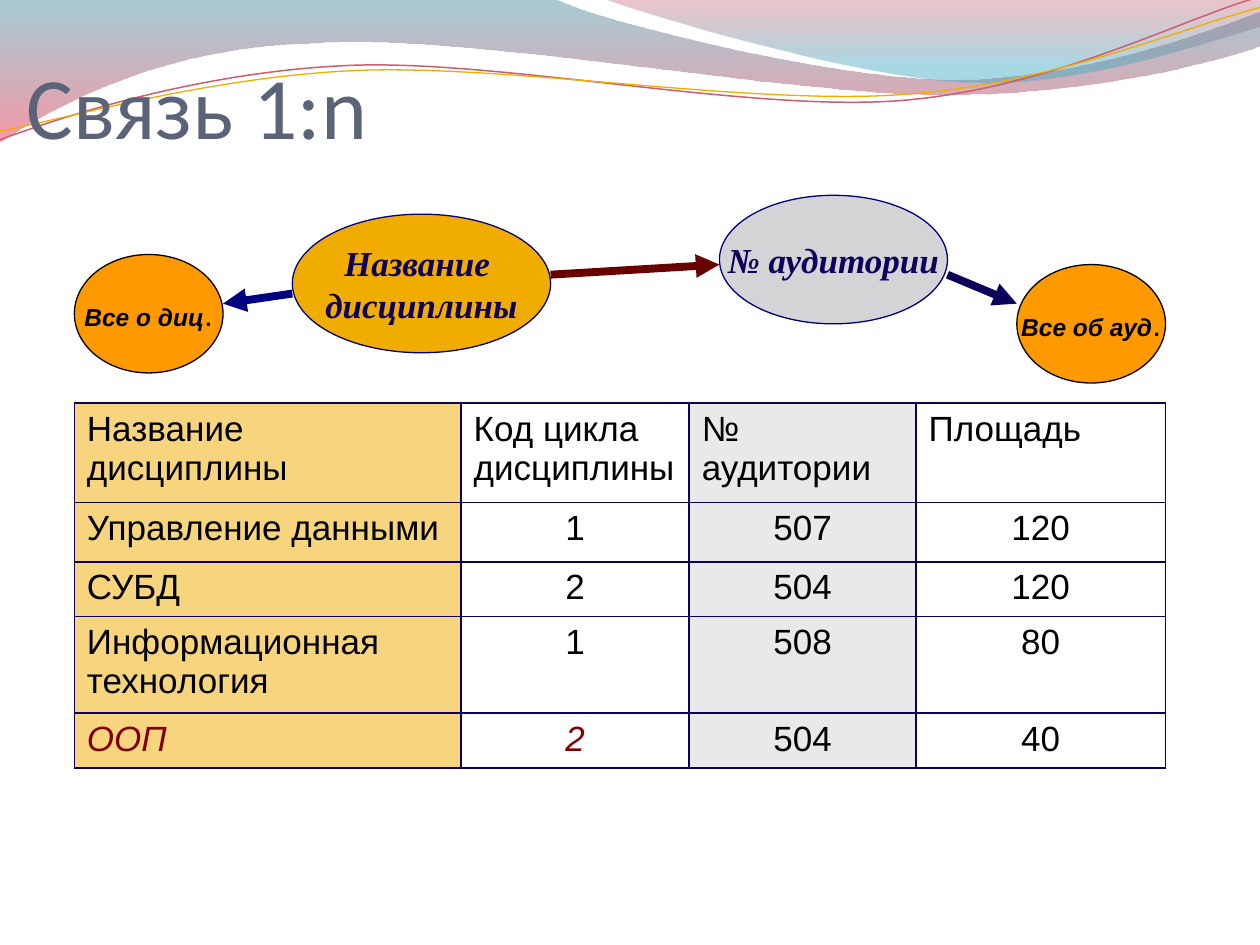
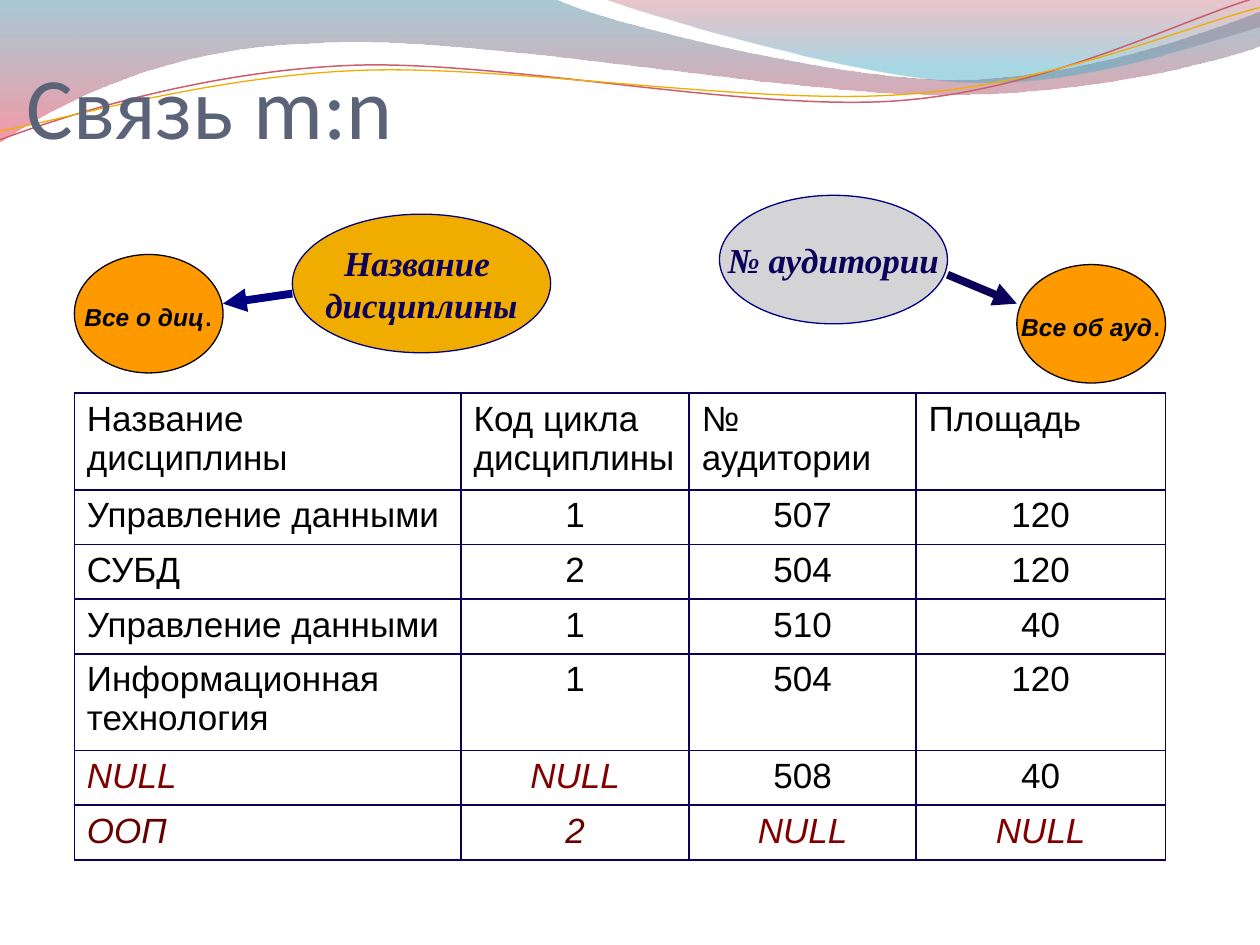
import math

import pptx
import pptx.dml.color
import pptx.enum.shapes
import pptx.enum.text
import pptx.oxml.ns
import pptx.util
from lxml import etree

Inches = pptx.util.Inches
Pt = pptx.util.Pt
qn = pptx.oxml.ns.qn
MIDDLE = pptx.enum.text.MSO_ANCHOR.MIDDLE
BOTTOM = pptx.enum.text.MSO_ANCHOR.BOTTOM
CENTER = pptx.enum.text.PP_ALIGN.CENTER

COLORS = {
    "title": "5A6378", "black": "000000", "ink": "0D005A", "navy": "000080",
    "maroon": "680000", "red": "800000", "gold": "F0AD00", "grey": "D4D4D6",
    "orange": "FF9900", "rose": "CB5F6E", "teal": "3F8A9F", "pink": "EF445B",
    "brick": "B84253", "sky": "42ABC7",
}

BAND_LEFT = [
    [(0, 0)], [(4.4, -0.01)],
    [(4.76, 0.17), (6.64, 0.63), (7.58, 0.63)],
    [(8.53, 0.63), (9.58, 0.26), (10, 0.09)],
    [(10.01, 0.36)],
    [(9.83, 0.44), (8.7, 0.76), (7.46, 0.75)],
    [(6.22, 0.75), (3.82, 0.28), (2.57, 0.34)],
    [(1.29, 0.36), (0.46, 0.83), (-0.01, 1.13)],
]
BAND_RIGHT = [
    [(4.79, -0.01)],
    [(5.09, 0.11), (6.82, 0.62), (7.69, 0.65)],
    [(8.56, 0.69), (9.61, 0.32), (10, 0.21)],
    [(10, 0)],
]
WAVE_ROSE = [
    [(0, 1.11)],
    [(0.48, 0.93), (1.58, 0.57), (2.77, 0.52)],
    [(3.95, 0.47), (5.93, 0.89), (7.13, 0.8)],
    [(8.33, 0.71), (9.38, 0.15), (9.98, -0.02)],
]
WAVE_GOLD = [
    [(0, 1.04)],
    [(0.47, 0.96), (1.64, 0.61), (2.83, 0.56)],
    [(4.03, 0.51), (5.97, 0.84), (7.17, 0.75)],
    [(8.36, 0.67), (9.41, 0.21), (10, 0.06)],
]
WAVE_TILT = 2.7
WAVE_CENTER = (5, 0.58)

COLUMN_WIDTHS = [3.07, 1.81, 1.8, 1.98]
HEADER = ["Название дисциплины", "Код цикла дисциплины", "№ аудитории", "Площадь"]


def rgb(name):
    """Return the named colour."""
    return pptx.dml.color.RGBColor.from_string(COLORS[name])


def set_alpha(element, *percents):
    """Give the colours inside an element their opacities, in order."""
    for color, percent in zip(element.iter(qn("a:srgbClr")), percents):
        etree.SubElement(color, qn("a:alpha"), val=str(percent * 1000))


def set_font(font, name, size, color, bold=False, italic=False):
    """Set the usual properties of a font."""
    font.name, font.size = name, Pt(size)
    font.bold, font.italic = bold, italic
    font.color.rgb = rgb(color)


def set_line(line, color, width):
    """Set the colour and width of a line."""
    line.color.rgb = rgb(color)
    line.width = Pt(width)


def add_curve(slide, segments, close):
    """Add a freeform of straight and cubic segments."""
    ends = [(Inches(x), Inches(y)) for x, y in (segment[-1] for segment in segments)]
    builder = slide.shapes.build_freeform(*ends[0], scale=1.0)
    builder.add_line_segments(ends[1:], close=close)
    sp = builder.convert_to_shape()
    sp.shadow.inherit = False
    straight = list(sp._element.spPr.iter(qn("a:lnTo")))
    for element, segment in zip(straight, segments[1:]):
        if len(segment) == 3:
            cubic = etree.Element(qn("a:cubicBezTo"))
            for x, y in segment:
                etree.SubElement(cubic, qn("a:pt"), x=str(Inches(x) - sp.left),
                                 y=str(Inches(y) - sp.top))
            element.getparent().replace(element, cubic)
    return sp


def add_band(slide, segments, stops):
    """Add a band with a vertical translucent gradient."""
    sp = add_curve(slide, segments, True)
    sp.line.fill.background()
    sp.fill.gradient()
    sp.fill.gradient_angle = 270
    for stop, (position, color, _) in zip(sp.fill.gradient_stops, stops):
        stop.position = position
        stop.color.rgb = rgb(color)
    set_alpha(sp._element.spPr, *[alpha for _, _, alpha in stops])


def level(point):
    """Turn a point of a wave back to where it lies before the tilt."""
    cx, cy = WAVE_CENTER
    dx, dy = point[0] - cx, point[1] - cy
    cos, sin = math.cos(math.radians(WAVE_TILT)), math.sin(math.radians(WAVE_TILT))
    return cx + dx * cos - dy * sin, cy + dx * sin + dy * cos


def add_wave(slide, segments, color, width):
    """Add a thin tilted wavy line."""
    sp = add_curve(slide, [[level(point) for point in segment] for segment in segments], False)
    sp.rotation = 360 - WAVE_TILT
    sp.fill.background()
    set_line(sp.line, color, width)


def add_backdrop(slide):
    """Draw the bands and waves at the top of a slide."""
    add_band(slide, BAND_LEFT, [(0, "teal", 45), (1, "pink", 55)])
    add_band(slide, BAND_RIGHT, [(0, "brick", 30), (0.8, "sky", 45)])
    add_wave(slide, WAVE_ROSE, "rose", 0.85)
    add_wave(slide, WAVE_GOLD, "gold", 0.75)


def add_title(slide, text, x, y, w, h):
    """Add the slide title."""
    tf = slide.shapes.add_textbox(Inches(x), Inches(y), Inches(w), Inches(h)).text_frame
    tf.word_wrap = True
    tf.vertical_anchor = BOTTOM
    tf.margin_left = tf.margin_right = tf.margin_bottom = 0
    tf.margin_top = Inches(0.05)
    p = tf.paragraphs[0]
    p.text = text
    set_font(p.font, "Calibri", 50, "title")


def add_ellipse(slide, x, y, w, h, fill, line):
    """Add an ellipse and return its text frame."""
    sp = slide.shapes.add_shape(pptx.enum.shapes.MSO_SHAPE.OVAL,
                                Inches(x), Inches(y), Inches(w), Inches(h))
    sp.shadow.inherit = False
    sp.fill.solid()
    sp.fill.fore_color.rgb = rgb(fill)
    set_line(sp.line, line, 0.75)
    tf = sp.text_frame
    tf.word_wrap = False
    tf.vertical_anchor = MIDDLE
    return tf


def add_entity(slide, x, y, w, h, fill, lines):
    """Add a large ellipse that names a key."""
    tf = add_ellipse(slide, x, y, w, h, fill, "navy")
    for i, line in enumerate(lines):
        p = tf.add_paragraph() if i else tf.paragraphs[0]
        p.text = line
        p.alignment = CENTER
        set_font(p.font, "Times New Roman", 20, "ink", True, True)


def add_details(slide, x, y, text):
    """Add a small ellipse for the remaining attributes."""
    p = add_ellipse(slide, x, y, 1.18, 0.94, "orange", "black").paragraphs[0]
    p.alignment = CENTER
    for part, size, strong in ((text, 14, True), (".", 18, False)):
        r = p.add_run()
        r.text = part
        set_font(r.font, "Arial", size, "black", strong, strong)


def add_arrow(slide, x1, y1, x2, y2, color):
    """Add a thick arrow."""
    c = slide.shapes.add_connector(pptx.enum.shapes.MSO_CONNECTOR.STRAIGHT,
                                   Inches(x1), Inches(y1), Inches(x2), Inches(y2))
    set_line(c.line, color, 4.5)
    sp_pr = c._element.spPr
    etree.SubElement(sp_pr.find(qn("a:ln")), qn("a:tailEnd"), type="triangle")
    etree.SubElement(sp_pr, qn("a:effectLst"))


def add_diagram(slide, x, y, linked):
    """Draw the two keys with their attributes, linked or not."""
    add_entity(slide, x + 1.73, y + 0.15, 2.05, 1.1, "gold", ["Название ", "дисциплины"])
    add_entity(slide, x + 5.12, y, 1.81, 1.02, "grey", ["№ аудитории"])
    if linked:
        add_arrow(slide, x + 3.78, y + 0.63, x + 5.12, y + 0.55, "maroon")
    add_details(slide, x, y + 0.47, "Все о диц")
    add_arrow(slide, x + 1.73, y + 0.78, x + 1.18, y + 0.86, "navy")
    add_details(slide, x + 7.48, y + 0.55, "Все об ауд")
    add_arrow(slide, x + 6.93, y + 0.63, x + 7.48, y + 0.86, "ink")


def add_borders(cell):
    """Draw the four borders of a cell."""
    tc_pr = cell._tc.get_or_add_tcPr()
    for side in ("lnL", "lnR", "lnT", "lnB"):
        ln = etree.SubElement(tc_pr, qn("a:" + side), w=str(Pt(1)))
        fill = etree.SubElement(ln, qn("a:solidFill"))
        etree.SubElement(fill, qn("a:srgbClr"), val=COLORS["ink"])


def fill_cell(cell, color):
    """Fill a cell with a half-transparent colour, or with nothing."""
    if color is None:
        cell.fill.background()
        return
    cell.fill.solid()
    cell.fill.fore_color.rgb = rgb(color)
    set_alpha(cell._tc.tcPr.find(qn("a:solidFill")), 50)


def add_relation(slide, x, y, h, heights, rows, accents, column_fills):
    """Add the table; accents maps (row, column) to a text colour."""
    rows = [HEADER] + rows
    table = slide.shapes.add_table(
        len(rows), len(HEADER), Inches(x), Inches(y),
        Inches(sum(COLUMN_WIDTHS)), Inches(h)).table
    table.first_row = table.horz_banding = False
    for column, width in zip(table.columns, COLUMN_WIDTHS):
        column.width = Inches(width)
    for i, (values, height) in enumerate(zip(rows, heights)):
        table.rows[i].height = Inches(height)
        for j, value in enumerate(values):
            cell = table.cell(i, j)
            add_borders(cell)
            fill_cell(cell, column_fills.get(j))
            p = cell.text_frame.paragraphs[0]
            r = p.add_run()
            r.text = value
            if i and j:
                p.alignment = CENTER
            accent = accents.get((i, j))
            set_font(r.font, "Arial", 20, accent or "black", italic=bool(accent))


def add_relation_slide(prs, title, linked, table_top, **relation):
    """Add a slide with a title, a diagram and a table."""
    slide = prs.slides.add_slide(prs.slide_layouts[6])
    add_backdrop(slide)
    add_title(slide, title, 0.21, 0.25, 8.77, 1)
    add_relation(slide, 0.59, table_top, **relation)
    add_diagram(slide, 0.59, 1.55, linked)


def main():
    """Build the presentation."""
    prs = pptx.Presentation()
    prs.slide_width, prs.slide_height = Inches(10), Inches(7.5)
    add_relation_slide(
        prs, "Связь 1:n", True, 3.2, h=2.89,
        heights=[0.79, 0.47, 0.38, 0.36, 0.2],
        rows=[
            ["Управление данными", "1", "507", "120"],
            ["СУБД", "2", "504", "120"],
            ["Информационная технология", "1", "508", "80"],
            ["ООП", "2", "504", "40"],
        ],
        accents={(4, 0): "red", (4, 1): "red"},
        column_fills={0: "gold", 2: "grey"})
    add_relation_slide(
        prs, "Связь m:n", False, 3.12, h=3.7,
        heights=[0.7, 0.41, 0.38, 0.36, 0.36, 0.4, 0.4],
        rows=[
            ["Управление данными", "1", "507", "120"],
            ["СУБД", "2", "504", "120"],
            ["Управление данными", "1", "510", "40"],
            ["Информационная технология", "1", "504", "120"],
            ["NULL", "NULL", "508", "40"],
            ["ООП", "2", "NULL", "NULL"],
        ],
        accents={(5, 0): "red", (5, 1): "red", (6, 0): "maroon",
                 (6, 1): "maroon", (6, 2): "red", (6, 3): "red"},
        column_fills={})
    prs.save("out.pptx")


if __name__ == "__main__":
    main()
